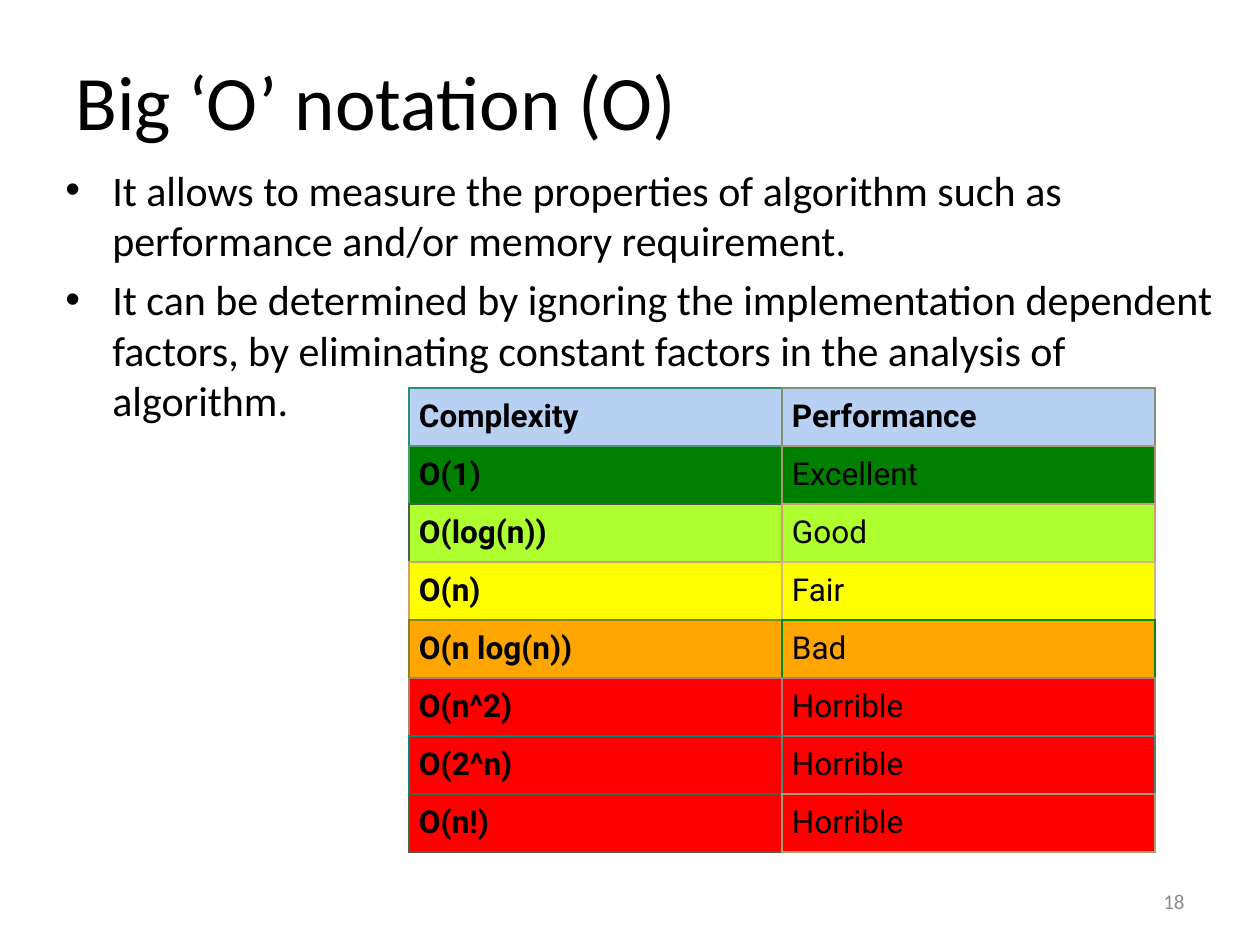
from dataclasses import dataclass

from lxml import etree
from pptx import Presentation
from pptx import util as u
from pptx.dml.color import RGBColor
from pptx.enum import text
from pptx.oxml import ns

PX_PER_INCH = 126
BLACK = RGBColor(0x00, 0x00, 0x00)
GREY = RGBColor(0x8C, 0x8C, 0x8C)
HEADER_BLUE = RGBColor(0xB8, 0xD1, 0xF3)
GREEN = RGBColor(0x00, 0x80, 0x00)
LIME = RGBColor(0xAD, 0xFF, 0x2F)
YELLOW = RGBColor(0xFF, 0xFF, 0x00)
ORANGE = RGBColor(0xFF, 0xA5, 0x00)
RED = RGBColor(0xFF, 0x00, 0x00)


@dataclass
class Box:
    left: int
    top: int
    width: int
    height: int


@dataclass
class Row:
    cells: tuple[str, str]
    fill: RGBColor
    borders: tuple[str, str]


ROWS = [
    Row(("Complexity", "Performance"), HEADER_BLUE, ("289276", "809276")),
    Row(("O(1)", "Excellent"), GREEN, ("509876", "A89876")),
    Row(("O(log(n))", "Good"), LIME, ("505E45", "D09C76")),
    Row(("O(n)", "Fair"), YELLOW, ("D09F76", "D0B586")),
    Row(("O(n log(n))", "Bad"), ORANGE, ("808712", "008812")),
    Row(("O(n^2)", "Horrible"), RED, ("A88076", "A88076")),
    Row(("O(2^n)", "Horrible"), RED, ("008776", "508776")),
    Row(("O(n!)", "Horrible"), RED, ("505E45", "A89F76")),
]
BULLETS = [
    "It allows to measure the properties of algorithm such as "
    "performance and/or memory requirement.",
    "It can be determined by ignoring the implementation dependent factors, "
    "by eliminating constant factors in the analysis of algorithm.",
]


def px(length: int) -> u.Emu:
    return u.Emu(round(length * u.Inches(1) / PX_PER_INCH))


def bounds(box: Box) -> list[u.Emu]:
    return [px(n) for n in (box.left, box.top, box.width, box.height)]


def set_font(paragraph, name: str, size: int, color: RGBColor, bold=False) -> None:
    font = paragraph.font
    font.name, font.size, font.bold = name, u.Pt(size), bold
    font.color.rgb = color


def add_text(slide, box: Box, lines: list[str], size: int, color=BLACK,
             anchor=text.MSO_ANCHOR.MIDDLE, align=text.PP_ALIGN.LEFT):
    frame = slide.shapes.add_textbox(*bounds(box)).text_frame
    frame.word_wrap = True
    frame.vertical_anchor = anchor
    frame.text = "\n".join(lines)
    for paragraph in frame.paragraphs:
        paragraph.alignment = align
        set_font(paragraph, "Calibri", size, color)
    return frame


def add_bullet(paragraph, indent: int) -> None:
    paragraph.space_before = u.Pt(5)
    properties = paragraph._p.get_or_add_pPr()
    properties.set("marL", str(px(indent)))
    properties.set("indent", str(-px(indent)))
    font = etree.SubElement(properties, ns.qn("a:buFont"), typeface="Arial")
    bullet = etree.SubElement(properties, ns.qn("a:buChar"), char="•")
    default_run = properties.find(ns.qn("a:defRPr"))
    if default_run is not None:
        default_run.addprevious(font)
        default_run.addprevious(bullet)


def set_borders(cell, sides: dict[str, tuple[str, float]]) -> None:
    properties = cell._tc.get_or_add_tcPr()
    for index, (side, (color, width)) in enumerate(sides.items()):
        line = etree.Element(ns.qn(f"a:ln{side}"), w=str(u.Pt(width)))
        fill = etree.SubElement(line, ns.qn("a:solidFill"))
        etree.SubElement(fill, ns.qn("a:srgbClr"), val=color)
        properties.insert(index, line)


def add_complexity_table(slide, box: Box) -> None:
    table = slide.shapes.add_table(len(ROWS), 2, *bounds(box)).table
    table.horz_banding = False
    for r, row in enumerate(ROWS):
        table.rows[r].height = px(box.height // len(ROWS))
        for c, label in enumerate(row.cells):
            cell = table.cell(r, c)
            cell.text = label
            cell.vertical_anchor = text.MSO_ANCHOR.MIDDLE
            cell.margin_left = cell.margin_right = px(10)
            cell.margin_top = cell.margin_bottom = px(10)
            cell.fill.solid()
            cell.fill.fore_color.rgb = row.fill
            set_font(cell.text_frame.paragraphs[0], "Roboto", 18, BLACK,
                     bold=r == 0 or c == 0)
            # Inner edges take the colour of the next cell, outer ones their own
            own = row.borders[c]
            set_borders(cell, {
                "L": (own, 1),
                "R": (row.borders[1], 1 if c == 0 else 0.75),
                "T": (own, 1),
                "B": (ROWS[r + 1].borders[c], 1) if r + 1 < len(ROWS) else (own, 0.75),
            })


def main() -> None:
    presentation = Presentation()
    presentation.slide_width, presentation.slide_height = px(1260), px(945)
    slide = presentation.slides.add_slide(presentation.slide_layouts[6])

    # Title
    add_text(slide, Box(63, 21, 1134, 158), ["Big ‘O’ notation (O)"], 44)

    # Bullets
    body = add_text(slide, Box(53, 158, 1207, 624), BULLETS, 24,
                    anchor=text.MSO_ANCHOR.TOP)
    for paragraph in body.paragraphs:
        add_bullet(paragraph, 47)

    # Slide number
    add_text(slide, Box(903, 876, 294, 50), ["18"], 12, GREY,
             align=text.PP_ALIGN.RIGHT)

    # Complexity table
    add_complexity_table(slide, Box(409, 388, 746, 464))

    presentation.save("out.pptx")


if __name__ == "__main__":
    main()
